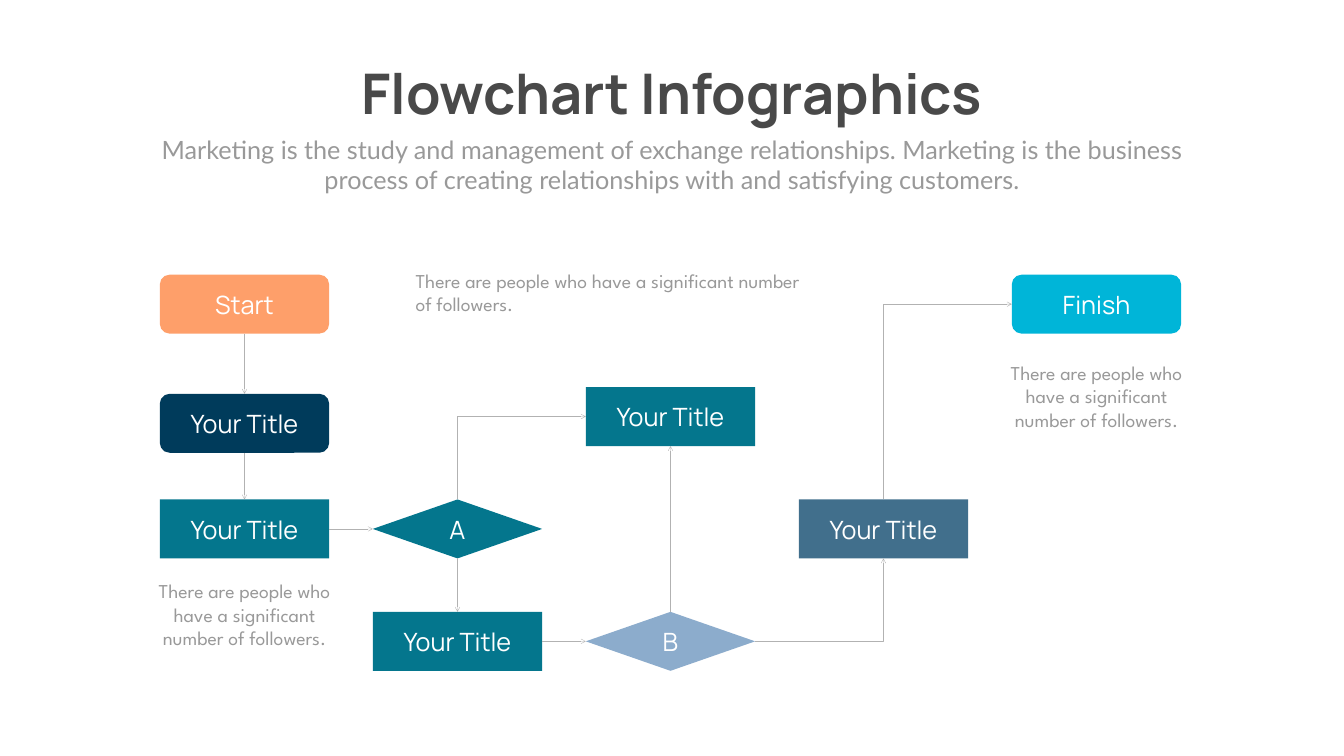
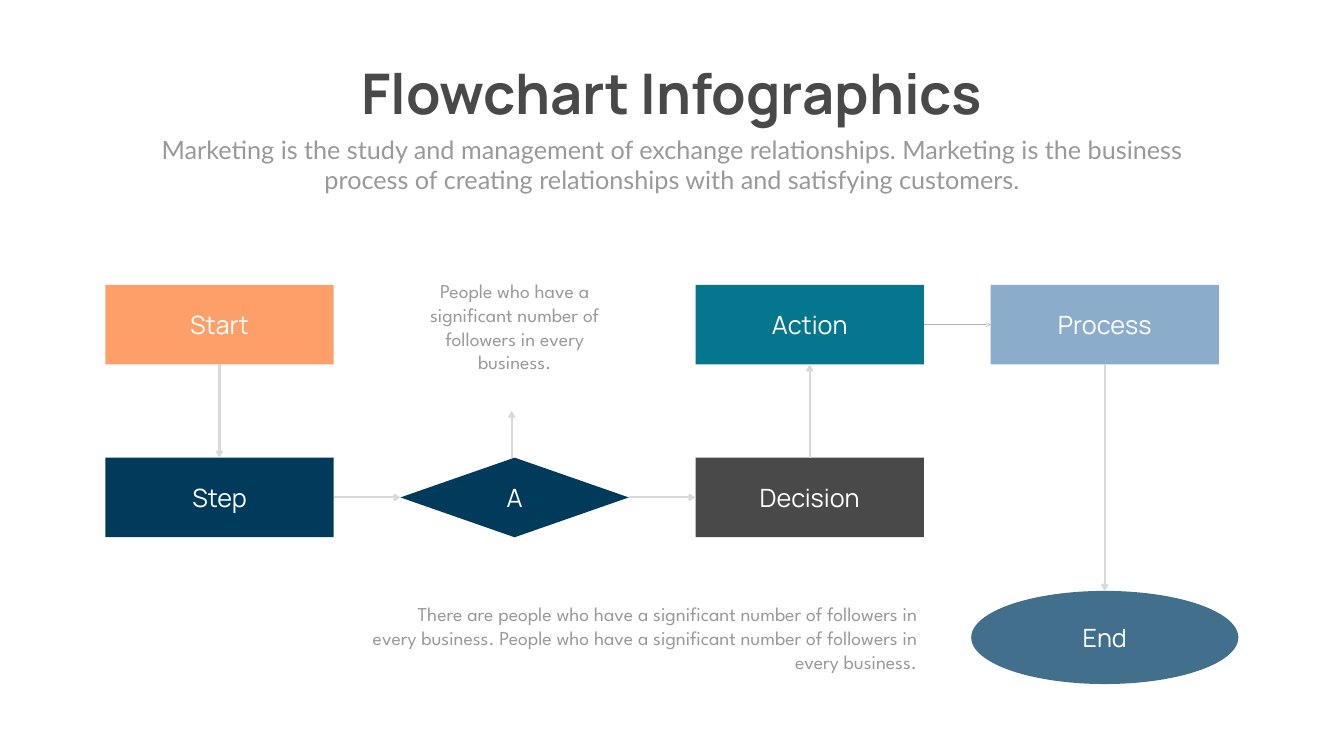
"""Builds two flowchart infographic slides."""
import pptx
import pptx.util
import pptx.dml.color
import pptx.enum.shapes
import pptx.enum.text
import pptx.oxml.ns
from lxml import etree

Inches, Pt = pptx.util.Inches, pptx.util.Pt
SHAPE = pptx.enum.shapes.MSO_SHAPE
CONNECTOR = pptx.enum.shapes.MSO_CONNECTOR
ALIGN = pptx.enum.text.PP_ALIGN
ANCHOR = pptx.enum.text.MSO_ANCHOR
FIT = pptx.enum.text.MSO_AUTO_SIZE
qn = pptx.oxml.ns.qn

WIDTH, HEIGHT = 26.66, 15
ORANGE, NAVY, TEAL, CYAN = "FE9F6A", "003B5B", "04768D", "00B5D8"
STEEL, SKY, DARK, GREY, WHITE = "416F8C", "8CACCC", "494949", "999999", "FFFFFF"

TITLE = "Flowchart Infographics"
SUBTITLE = ("Marketing is the study and management of exchange relationships. "
            "Marketing is the business process of creating relationships with "
            "and satisfying customers.")
FOLLOWERS = "There are people who have a significant number of followers."
PEOPLE = "People who have a significant number of followers in every business."
THERE_ARE = "There are people who have a significant number of followers in every business."

TITLE_FONT = dict(size=Pt(80), name="Manrope", bold=True, color=DARK)
SUBTITLE_FONT = dict(size=Pt(36), name="Lato", bold=False, color=GREY)
NODE_FONT = dict(size=Pt(36), name="Manrope", bold=False, color=WHITE)
NOTE_FONT = dict(size=Pt(28), name="League Spartan", bold=False, color=GREY)
CENTRED = dict(alignment=ALIGN.CENTER, space_before=Pt(0))
HEADINGS = [
    (TITLE, 1.12, 13.57, 1.45, TITLE_FONT, False),
    (SUBTITLE, 2.61, 20.82, 1.31, SUBTITLE_FONT, True),
]

THIN, THICK = ("B2B2B2", 0.5), ("D9D9D9", 3)
ROUND, RECT = SHAPE.ROUNDED_RECTANGLE, SHAPE.RECTANGLE
DECISION, OVAL = SHAPE.FLOWCHART_DECISION, SHAPE.OVAL

CHARTS = [
    dict(
        first=(3.17, 5.45), last=(20.07, 12.14), columns=5, rows=4, node=(3.36, 1.17),
        nodes={
            "finish": ("Finish", ROUND, CYAN, 4, 0, 1),
            "start": ("Start", ROUND, ORANGE, 0, 0, 1),
            "step": ("Your Title", ROUND, NAVY, 0, 1.06, 1),
            "task": ("Your Title", RECT, TEAL, 0, 2, 1),
            "a": ("A", DECISION, TEAL, 1, 2, 1),
            "lower": ("Your Title", RECT, TEAL, 1, 3, 1),
            "upper": ("Your Title", RECT, TEAL, 2, 1, 1),
            "b": ("B", DECISION, SKY, 2, 3, 1),
            "last": ("Your Title", RECT, STEEL, 3, 2, 1),
        },
        links=[
            ("start", "bottom", "step", "top", THIN),
            ("step", "bottom", "task", "top", THIN),
            ("task", "right", "a", "left", THIN),
            ("a", "bottom", "lower", "top", THIN),
            ("a", "top", "upper", "left", THIN),
            ("lower", "right", "b", "left", THIN),
            ("b", "right", "last", "bottom", THIN),
            ("b", "top", "upper", "bottom", THIN),
            ("last", "top", "finish", "left", THIN),
        ],
        stubs=[],
        notes=[
            (FOLLOWERS, 0, 2.68, 0.93, 0.89, ALIGN.CENTER),
            (FOLLOWERS, 1.72, -0.08, 1.88, 0.47, ALIGN.LEFT),
            (FOLLOWERS, 4, 0.74, 0.93, 0.89, ALIGN.CENTER),
        ],
    ),
    dict(
        first=(2.09, 5.65), last=(19.65, 9.08), columns=4, rows=2, node=(4.53, 1.58),
        nodes={
            "start": ("Start", RECT, ORANGE, 0, 0, 1),
            "step": ("Step", RECT, NAVY, 0, 1, 1),
            "a": ("A", DECISION, NAVY, 1, 1, 1),
            "decision": ("Decision", RECT, DARK, 2, 1, 1),
            "action": ("Action", RECT, TEAL, 2, 0, 1),
            "process": ("Process", RECT, SKY, 3, 0, 1),
            "end": ("End", OVAL, STEEL, 3, 1.81, 1.17),
        },
        links=[
            ("start", "bottom", "step", "top", THICK),
            ("step", "right", "a", "left", THICK),
            ("a", "right", "decision", "left", THICK),
            ("decision", "top", "action", "bottom", THICK),
            ("process", "bottom", "end", "top", THICK),
            ("action", "right", "process", "left", THIN),
        ],
        stubs=[(0.99, 1, 0.73, THICK)],
        notes=[
            (f"{THERE_ARE} {PEOPLE}", 1.44, 1.82, 1.88, 0.44, ALIGN.RIGHT),
            (PEOPLE, 1, -0.05, 0.64, 0.72, ALIGN.CENTER),
        ],
    ),
]


def colour(value):
    return pptx.dml.color.RGBColor.from_string(value)


def assign(target, values):
    for name, value in values.items():
        setattr(target, name, value)


def write(box, text, font, paragraph, **frame):
    assign(box.text_frame, frame)
    para = box.text_frame.paragraphs[0]
    para.text = text
    assign(para, paragraph)
    for span in para.runs:
        assign(span.font, {key: value for key, value in font.items() if key != "color"})
        span.font.color.rgb = colour(font["color"])


def add_headings(page):
    for box, (text, top, width, height, font, wrap) in zip(page.placeholders, HEADINGS):
        assign(box, dict(left=Inches((WIDTH - width) / 2), top=Inches(top),
                         width=Inches(width), height=Inches(height)))
        properties = box.text_frame.paragraphs[0]._p.get_or_add_pPr()
        assign_xml = dict(marL="0", indent="0")
        for name, value in assign_xml.items():
            properties.set(name, value)
        etree.SubElement(properties, qn("a:buNone"))
        write(box, text, font, CENTRED, word_wrap=wrap,
              vertical_anchor=ANCHOR.TOP, auto_size=FIT.SHAPE_TO_FIT_TEXT)


def add_node(page, text, kind, fill, frame):
    shape = page.shapes.add_shape(kind, *map(Inches, frame))
    shape.shadow.inherit = False
    shape.fill.solid()
    shape.fill.fore_color.rgb = colour(fill)
    shape.line.fill.background()
    write(shape, text, NODE_FONT, CENTRED, vertical_anchor=ANCHOR.MIDDLE)


def side_point(frame, side):
    left, top, width, height = frame
    across, down = dict(left=(0, 0.5), right=(1, 0.5), top=(0.5, 0), bottom=(0.5, 1))[side]
    return left + across * width, top + down * height


def add_arrow(page, begin, end, style, bent=False, vertical_first=False):
    if vertical_first:
        middle_x, middle_y = (begin[0] + end[0]) / 2, (begin[1] + end[1]) / 2
        half_x, half_y = abs(end[1] - begin[1]) / 2, abs(end[0] - begin[0]) / 2
        begin = middle_x + half_x, middle_y + half_y
        end = middle_x - half_x, middle_y - half_y
    kind = CONNECTOR.ELBOW if bent else CONNECTOR.STRAIGHT
    arrow = page.shapes.add_connector(kind, *map(Inches, (*begin, *end)))
    arrow.line.color.rgb = colour(style[0])
    arrow.line.width = Pt(style[1])
    properties = arrow._element.spPr
    if bent:
        properties.find(qn("a:prstGeom")).set("prst", "bentConnector2")
    if vertical_first:
        properties.find(qn("a:xfrm")).set("rot", "5400000")
    etree.SubElement(arrow.line._get_or_add_ln(), qn("a:tailEnd"), type="arrow")
    etree.SubElement(properties, qn("a:effectLst"))


def add_chart_page(deck, chart):
    page = deck.slides.add_slide(deck.slide_layouts[1])
    add_headings(page)
    (left, top), (right, bottom) = chart["first"], chart["last"]
    node_width, node_height = chart["node"]
    column = (right - left) / (chart["columns"] - 1)
    row = (bottom - top) / (chart["rows"] - 1)

    def centre_x(index):
        return left + node_width / 2 + index * column

    frames = {}
    for key, (text, kind, fill, across, down, scale) in chart["nodes"].items():
        width, height = node_width * scale, node_height * scale
        frames[key] = (centre_x(across) - width / 2,
                       top + down * row + (node_height - height) / 2, width, height)
        add_node(page, text, kind, fill, frames[key])

    for source, leaving, target, entering, style in chart["links"]:
        vertical = [side in ("top", "bottom") for side in (leaving, entering)]
        bent = vertical[0] != vertical[1]
        add_arrow(page, side_point(frames[source], leaving),
                  side_point(frames[target], entering), style, bent, bent and vertical[0])

    for across, start, stop, style in chart["stubs"]:
        begin, end = [(centre_x(across), top + level * row) for level in (start, stop)]
        add_arrow(page, begin, end, style)

    for text, across, down, columns, rows, align in chart["notes"]:
        width = columns * column
        frame = centre_x(across) - width / 2, top + down * row, width, rows * row
        box = page.shapes.add_textbox(*map(Inches, frame))
        write(box, text, NOTE_FONT, dict(alignment=align, line_spacing=Pt(34)),
              word_wrap=True, auto_size=FIT.SHAPE_TO_FIT_TEXT)


def main():
    deck = pptx.Presentation()
    assign(deck, dict(slide_width=Inches(WIDTH), slide_height=Inches(HEIGHT)))
    for chart in CHARTS:
        add_chart_page(deck, chart)
    deck.save("out.pptx")


if __name__ == "__main__":
    main()
